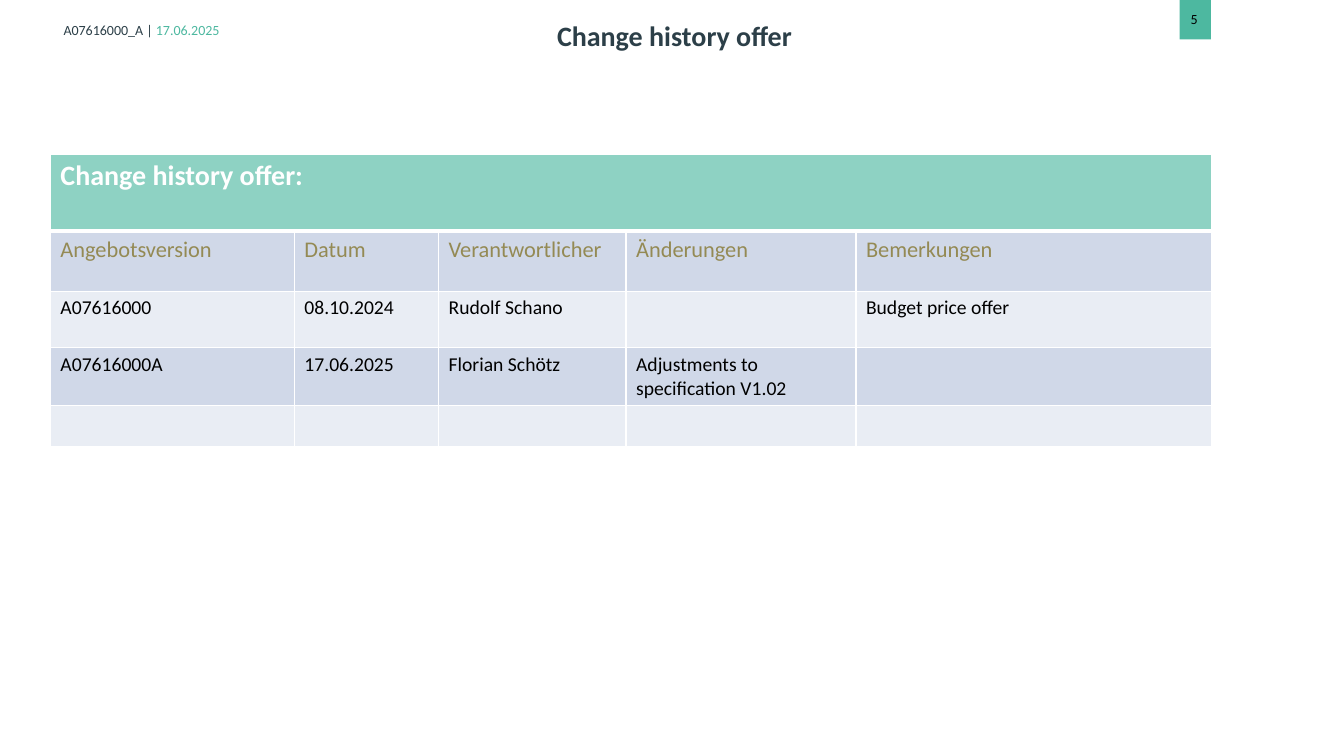
"""Build the change history slide of an offer."""
from dataclasses import dataclass

from lxml import etree
from pptx import Presentation
from pptx.dml.color import RGBColor
from pptx.enum.shapes import MSO_SHAPE
from pptx.enum.text import MSO_ANCHOR, MSO_AUTO_SIZE, PP_ALIGN
from pptx.oxml.ns import qn
from pptx.util import Emu, Pt

RECT = MSO_SHAPE.RECTANGLE
TOP, MIDDLE = MSO_ANCHOR.TOP, MSO_ANCHOR.MIDDLE
LEFT, CENTER = PP_ALIGN.LEFT, PP_ALIGN.CENTER
FIXED = MSO_AUTO_SIZE.NONE

SCALE = 9144
FONT = "Calibri"
SLATE = RGBColor(0x2C, 0x3F, 0x48)
GREEN = RGBColor(0x4D, 0xB8, 0xA0)
MINT = RGBColor(0x8E, 0xD2, 0xC3)
OLIVE = RGBColor(0x94, 0x8A, 0x54)
DARK = RGBColor(0xD0, 0xD8, 0xE8)
LIGHT = RGBColor(0xE9, 0xED, 0xF4)
WHITE = RGBColor(0xFF, 0xFF, 0xFF)
BLACK = RGBColor(0, 0, 0)

COLS = (242, 143, 186, 228, 353)


@dataclass(frozen=True)
class Style:
    """Look of a piece of text."""
    size: int
    color: RGBColor
    bold: bool = False


@dataclass(frozen=True)
class Row:
    """One row of the history table."""
    height: int
    fill: RGBColor
    style: Style
    texts: tuple[str, ...]
    rule: int = 1


@dataclass(frozen=True)
class Label:
    """A small text in the page header."""
    box: tuple[int, int, int, int]
    spans: tuple[tuple[str, Style], ...]
    anchor: MSO_ANCHOR = TOP
    inset: tuple[int, int] = (10, 5)


HEAD = Style(20, WHITE, True)
FIELD = Style(16, OLIVE)
BODY = Style(14, BLACK)

ROWS = (
    Row(76, MINT, HEAD, ("Change history offer:",), 3),
    Row(60, DARK, FIELD, ("Angebotsversion", "Datum", "Verantwortlicher",
                          "Änderungen", "Bemerkungen")),
    Row(56, LIGHT, BODY, ("A07616000", "08.10.2024", "Rudolf Schano", "",
                          "Budget price offer")),
    Row(57, DARK, BODY, ("A07616000A", "17.06.2025", "Florian Schötz",
                         "Adjustments to specification V1.02", "")),
    Row(41, LIGHT, BODY, ()),
)

LABELS = (
    Label((60, 18, 351, 23), (("A07616000_A | ", Style(10, SLATE)),
                              ("17.06.2025", Style(10, GREEN))),
          MIDDLE, (3, 3)),
    Label((1171, 6, 80, 27), (("5", Style(10, BLACK)),)),
)


def px(num: int) -> Emu:
    """Turn px into EMU."""
    return Emu(num * SCALE)


def format_run(run, style: Style) -> None:
    """Apply a style to a run."""
    run.font.name = FONT
    run.font.size = Pt(style.size)
    run.font.bold = style.bold
    run.font.color.rgb = style.color


def set_frame(frame, anchor: MSO_ANCHOR, inset: tuple[int, int]) -> None:
    """Set wrapping, anchor and insets of a text frame."""
    frame.word_wrap = True
    frame.auto_size = FIXED
    frame.vertical_anchor = anchor
    frame.margin_left = frame.margin_right = px(inset[0])
    frame.margin_top = frame.margin_bottom = px(inset[1])


def add_label(slide, label: Label) -> None:
    """Draw a header text."""
    frame = slide.shapes.add_textbox(*map(px, label.box)).text_frame
    set_frame(frame, label.anchor, label.inset)
    para = frame.paragraphs[0]
    para.alignment = LEFT
    for text, style in label.spans:
        run = para.add_run()
        run.text = text
        format_run(run, style)


def add_badge(slide) -> None:
    """Draw the block behind the page number."""
    badge = slide.shapes.add_shape(RECT, *map(px, (1170, 0, 31, 39)))
    badge.shadow.inherit = False
    badge.fill.solid()
    badge.fill.fore_color.rgb = GREEN
    badge.line.fill.background()


def set_title(slide) -> None:
    """Place and format the title."""
    title = slide.shapes.title
    title.left, title.top, title.width, title.height = map(
        px, (291, 13, 756, 31))
    frame = title.text_frame
    frame.text = "Change history offer"
    set_frame(frame, TOP, (10, 5))
    frame.paragraphs[0].alignment = CENTER
    format_run(frame.paragraphs[0].runs[0], Style(20, SLATE, True))


def set_edges(cell, above: int, below: int) -> None:
    """Draw white borders around a cell."""
    props = cell._tc.get_or_add_tcPr()
    for side, width in (("L", 1), ("R", 1), ("T", above), ("B", below)):
        line = etree.SubElement(props, qn(f"a:ln{side}"), w=str(Pt(width)))
        fill = etree.SubElement(line, qn("a:solidFill"))
        etree.SubElement(fill, qn("a:srgbClr"), val=str(WHITE))


def add_history(slide) -> None:
    """Draw the history table."""
    high = sum(row.height for row in ROWS)
    table = slide.shapes.add_table(len(ROWS), len(COLS), px(50), px(153),
                                   px(sum(COLS)), px(high)).table
    table.first_row = table.horz_banding = False
    for col, width in zip(table.columns, COLS):
        col.width = px(width)
    above = 1
    for num, row in enumerate(ROWS):
        table.rows[num].height = px(row.height)
        for cell in table.rows[num].cells:
            set_edges(cell, above, row.rule)
            cell.fill.solid()
            cell.fill.fore_color.rgb = row.fill
        for cell, text in zip(table.rows[num].cells, row.texts):
            cell.text_frame.text = text
            for run in cell.text_frame.paragraphs[0].runs:
                format_run(run, row.style)
        above = row.rule
    table.cell(0, 0).merge(table.cell(0, len(COLS) - 1))


def main() -> None:
    """Build and save the slide."""
    deck = Presentation()
    deck.slide_width, deck.slide_height = px(1333), px(750)
    slide = deck.slides.add_slide(deck.slide_layouts[5])
    add_badge(slide)
    for label in LABELS:
        add_label(slide, label)
    set_title(slide)
    add_history(slide)
    deck.save("out.pptx")


if __name__ == "__main__":
    main()
